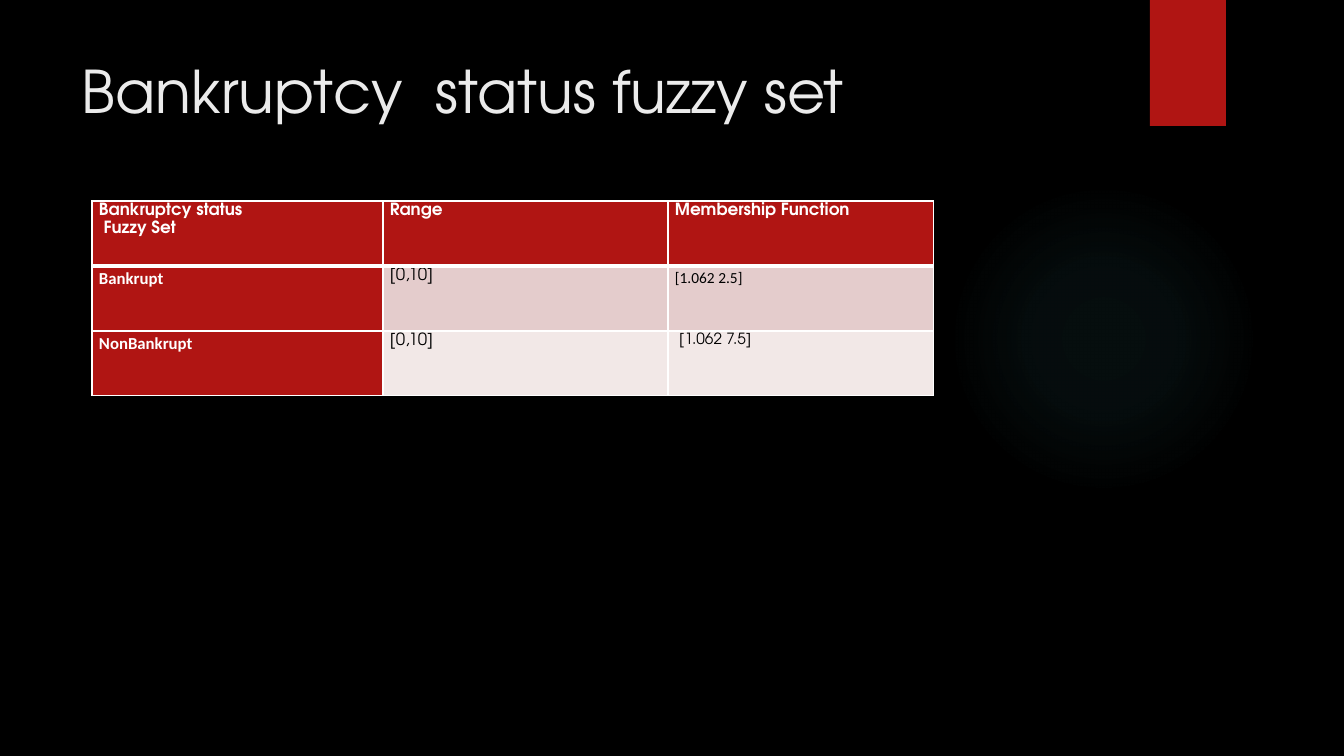
from lxml.etree import SubElement
from pptx import Presentation
from pptx.dml.color import RGBColor
from pptx.enum.shapes import MSO_SHAPE
from pptx.oxml import parse_xml
from pptx.oxml.ns import nsdecls, qn
from pptx.util import Pt

SCALE = 12192000 / 1344  # EMU per px
HEADING_FONT = "TeX Gyre Adventor"
RED, WHITE, BLACK = "B01513", "FFFFFF", "000000"


def px(*lengths):
    return [round(length * SCALE) for length in lengths]


def write(frame, text, size=12, font=HEADING_FONT, color=WHITE, bold=False, spacing=1.0):
    frame.word_wrap = True
    for index, line in enumerate(text.split("\n")):
        paragraph = frame.add_paragraph() if index else frame.paragraphs[0]
        paragraph.line_spacing = spacing
        run = paragraph.add_run()
        run.text = line
        run.font.size, run.font.name, run.font.bold = Pt(size), font, bold
        run.font.color.rgb = RGBColor.from_string(color)


presentation = Presentation()
presentation.slide_width, presentation.slide_height = px(1344, 756)
slide = presentation.slides.add_slide(presentation.slide_layouts[6])
slide.background.fill.solid()
slide.background.fill.fore_color.rgb = RGBColor.from_string(BLACK)

# Soft glow: stops of position and opacity in percent
glow = slide.shapes.add_shape(MSO_SHAPE.OVAL, *px(949, 184, 310, 310))
glow.shadow.inherit = False
glow.line.fill.background()
stops = "".join(
    f'<a:gs pos="{position * 1000}"><a:srgbClr val="50B9C1">'
    f'<a:alpha val="{opacity * 1000}"/></a:srgbClr></a:gs>'
    for position, opacity in [(0, 7), (36, 6), (69, 0)]
)
gradient = parse_xml(
    f'<a:gradFill {nsdecls("a")} rotWithShape="1"><a:gsLst>{stops}</a:gsLst>'
    '<a:path path="circle"><a:fillToRect l="50000" t="50000" r="50000" b="50000"/>'
    "</a:path></a:gradFill>"
)
glow._element.spPr.find(qn("a:prstGeom")).addnext(gradient)

# Red tab at the top edge
tab = slide.shapes.add_shape(MSO_SHAPE.RECTANGLE, *px(1150, 0, 76, 126))
tab.shadow.inherit = False
tab.fill.solid()
tab.fill.fore_color.rgb = RGBColor.from_string(RED)
tab.line.fill.background()

# Title
title = slide.shapes.add_textbox(*px(72, 50, 1037, 154))
write(title.text_frame, "Bankruptcy  status fuzzy set", size=42, color="EBEBEB")

# Table: text, then format of each cell
header = {"bold": True}
label = {"bold": True, "font": "Calibri"}
value = {"color": BLACK}
rows = [
    (RED, [("Bankruptcy status\n Fuzzy Set", header), ("Range", header),
           ("Membership Function", header)]),
    ("E4CCCC", [("Bankrupt", label), ("[0,10]", value),
                ("[1.062 2.5]", {"color": BLACK, "size": 11, "font": "Calibri"})]),
    ("F2E8E7", [("NonBankrupt", label), ("[0,10]", value),
                (" [1.062 7.5]", {"color": BLACK, "size": 11})]),
]
table = slide.shapes.add_table(3, 3, *px(92, 201, 842, 194)).table
for column, width in zip(table.columns, px(291, 285, 266)):
    column.width = width

for row_index, (row_fill, entries) in enumerate(rows):
    table.rows[row_index].height = px(65)[0]
    for column_index, (text, style) in enumerate(entries):
        cell = table.cell(row_index, column_index)
        cell.margin_left, cell.margin_right = px(7, 7)
        cell.margin_top = cell.margin_bottom = 0
        write(cell.text_frame, text, spacing=1.15, **style)

        # White borders, thick between header and body
        properties = cell._tc.get_or_add_tcPr()
        for side in "LRTB":
            thick = (row_index, side) in [(0, "B"), (1, "T")]
            border = SubElement(properties, qn(f"a:ln{side}"), w=str(Pt(3 if thick else 1)))
            SubElement(SubElement(border, qn("a:solidFill")), qn("a:srgbClr"), val=WHITE)

        cell.fill.solid()
        cell.fill.fore_color.rgb = RGBColor.from_string(row_fill if column_index else RED)

presentation.save("out.pptx")
